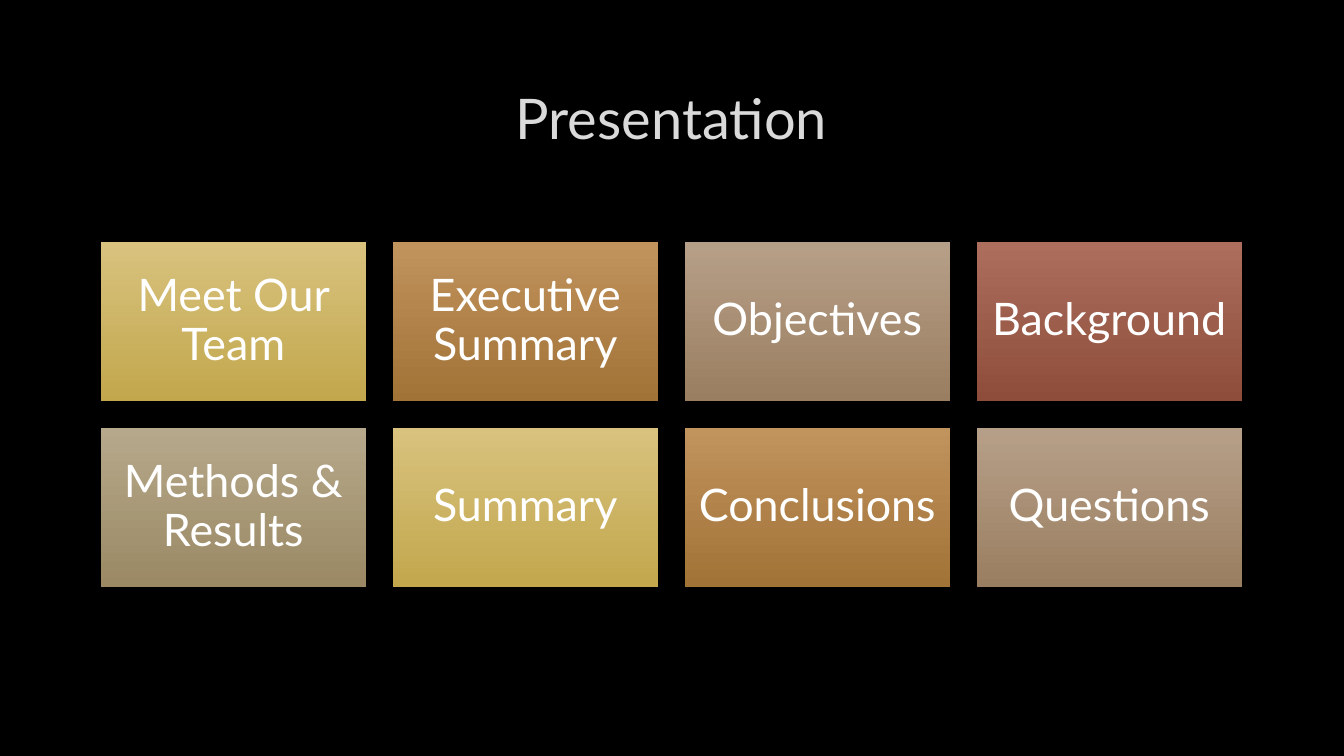
from dataclasses import dataclass
from pptx import Presentation
from pptx.dml.color import RGBColor as Rgb
from pptx.enum.shapes import MSO_SHAPE as Shape
from pptx.enum.text import MSO_ANCHOR as Anchor, PP_ALIGN as Align
from pptx.util import Inches, Pt

TITLE = "Presentation"
TILES = [
    ["Meet Our Team", "Executive Summary", "Objectives", "Background"],
    ["Methods & Results", "Summary", "Conclusions", "Questions"],
]


@dataclass(frozen=True)
class Theme:
    back: str = "000000"
    head: str = "DADADA"
    text: str = "FFFFFF"
    font: str = "Lato"
    big: int = 40
    mid: int = 32
    fades: tuple = (
        ("D8C27E", "C2A74D"),
        ("C1935D", "A17337"),
        ("B69F88", "9A7E61"),
        ("AD6E5E", "8E4D3A"),
        ("B6A88B", "9A8964"),
    )


LOOK = Theme()
WIDE, HIGH = Inches(13.33), Inches(7.5)
LEFT, SPAN = WIDE * 0.075, WIDE * 0.849
TOP = HIGH * 0.32
COLS = len(TILES[0])
GAP = WIDE * 0.02
TILE_W = (SPAN - GAP * (COLS - 1)) / COLS
TILE_H = TILE_W * 0.6


def place(shape, *box):
    shape.left, shape.top, shape.width, shape.height = map(round, box)


def write(shape, text, size, color):
    frame = shape.text_frame
    frame.text = text
    frame.word_wrap = True
    frame.vertical_anchor = Anchor.MIDDLE
    para = frame.paragraphs[0]
    para.alignment = Align.CENTER
    para.line_spacing = 0.9
    font = para.runs[0].font
    font.name = LOOK.font
    font.size = Pt(size)
    font.color.rgb = Rgb.from_string(color)


def add_tile(slide, text, row, col):
    x = LEFT + col * (TILE_W + GAP)
    y = TOP + row * (TILE_H + GAP)
    tile = slide.shapes.add_shape(
        Shape.RECTANGLE, *map(round, (x, y, TILE_W, TILE_H)))
    tile.shadow.inherit = False
    tile.line.fill.background()
    tile.fill.gradient()
    tile.fill.gradient_angle = 270
    fade = LOOK.fades[(row * COLS + col) % len(LOOK.fades)]
    for stop, color in zip(tile.fill.gradient_stops, fade):
        stop.color.rgb = Rgb.from_string(color)
    frame = tile.text_frame
    frame.margin_left = frame.margin_right = Inches(0.13)
    frame.margin_top = frame.margin_bottom = Inches(0.13)
    write(tile, text, LOOK.mid, LOOK.text)


def main():
    deck = Presentation()
    deck.slide_width, deck.slide_height = WIDE, HIGH
    slide = deck.slides.add_slide(deck.slide_layouts[5])
    fill = slide.background.fill
    fill.solid()
    fill.fore_color.rgb = Rgb.from_string(LOOK.back)
    title = slide.shapes.title
    place(title, LEFT, HIGH * 0.09, SPAN, HIGH * 0.14)
    write(title, TITLE, LOOK.big, LOOK.head)
    for row, names in enumerate(TILES):
        for col, name in enumerate(names):
            add_tile(slide, name, row, col)
    deck.save("out.pptx")


if __name__ == "__main__":
    main()
